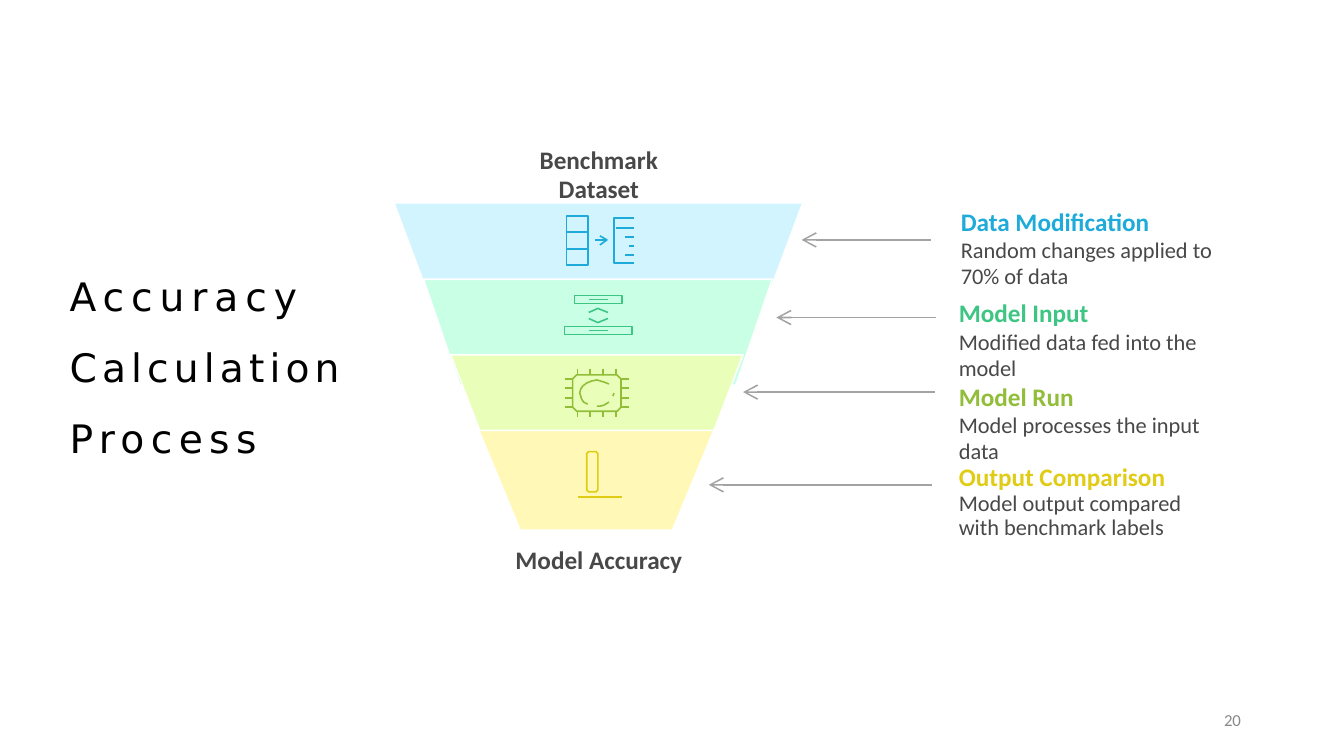
from lxml import etree
from pptx import Presentation
from pptx.dml.color import RGBColor
from pptx.enum.shapes import MSO_CONNECTOR
from pptx.enum.text import PP_ALIGN
from pptx.oxml.ns import qn
from pptx.util import Pt

LEFT, MID = PP_ALIGN.LEFT, PP_ALIGN.CENTER
LINE = MSO_CONNECTOR.STRAIGHT
CELL = 9144
COLS, ROWS = 1333, 750
WIDTH = 1.12
DARK, GREY, WHITE = "484848", "A3A3A3", "FFFFFF"
BLUE, GREEN, LIME, GOLD = "1EABDA", "3CC583", "92BD39", "E0CB15"

LAYERS = [
    ("D1F4FF", None, [(392, 202), (795, 202), (761, 293), (426, 293)]),
    ("C8FFE5", WHITE, [(420, 277), (766, 277), (730, 382), (456, 382)]),
    ("E9FFB9", WHITE, [(447, 352), (737, 352), (699, 451), (485, 451)]),
    ("FFF8B6", WHITE, [(475, 427), (708, 427), (667, 526), (516, 526)]),
]

ARROWS = [(923, 795, 238), (928, 770, 315), (927, 737, 389), (924, 703, 481)]

STAGES = [
    (953, 208, 19, BLUE, "Data Modification", "Random changes applied to 70% of data"),
    (951, 299, 19, GREEN, "Model Input", "Modified data fed into the model"),
    (951, 383, 18.5, LIME, "Model Run", "Model processes the input data"),
    (951, 463, 17.5, GOLD, "Output Comparison", "Model output compared with benchmark labels"),
]


def paint(code):
    """Turn a hex string into a colour."""
    return RGBColor.from_string(code)


def cells(*sizes):
    """Turn grid cells into slide lengths."""
    return [size * CELL for size in sizes]


def frame(slide, x, y, w, h):
    """Add a wrapping text frame without margins."""
    text = slide.shapes.add_textbox(*cells(x, y, w, h)).text_frame
    text.word_wrap = True
    text.margin_left = text.margin_right = 0
    text.margin_top = text.margin_bottom = 0
    return text


def style(para, size, hue, pitch, bold=False, face="Calibri", align=LEFT):
    """Set the font, line pitch and alignment of a paragraph."""
    font = para.font
    font.name, font.size, font.bold = face, Pt(size), bold
    font.color.rgb = paint(hue)
    para.line_spacing = Pt(pitch)
    para.alignment = align


def label(slide, area, words, size, hue, pitch, bold=False, align=LEFT):
    """Add a one-paragraph label."""
    para = frame(slide, *area).paragraphs[0]
    para.text = words
    style(para, size, hue, pitch, bold, align=align)


def title(slide):
    """Add the widely spaced slide title."""
    para = frame(slide, 69, 246, 290, 212).paragraphs[0]
    for words, gap in [("Accuracy ", 500), ("Calculation ", 370), ("Process", 460)]:
        run = para.add_run()
        run.text = words
        run.font._element.set("spc", str(gap))
    style(para, 28, "000000", 50.7, face="DejaVu Sans")


def stage(slide, x, y, pitch, hue, head, body):
    """Add a coloured heading with its description."""
    text = frame(slide, x, y, 254, 80)
    top, low = text.paragraphs[0], text.add_paragraph()
    top.text, low.text = head, body
    style(top, 18, hue, pitch, True)
    style(low, 16, DARK, pitch)


def outline(slide, paths, fill=None, line=None, close=False):
    """Draw one freeform from lists of grid points."""
    pen = slide.shapes.build_freeform(*paths[0][0], scale=CELL)
    for index, path in enumerate(paths):
        if index:
            pen.move_to(*path[0])
        pen.add_line_segments(path[1:], close=close)
    shape = pen.convert_to_shape()
    shape.shadow.inherit = False
    if fill:
        shape.fill.solid()
        shape.fill.fore_color.rgb = paint(fill)
    else:
        shape.fill.background()
    if line:
        shape.line.color.rgb = paint(line)
        shape.line.width = Pt(WIDTH)
    else:
        shape.line.fill.background()


def arrow(slide, start, end, y):
    """Draw a level arrow with an open head."""
    link = slide.shapes.add_connector(LINE, *cells(start, y, end, y))
    link.line.color.rgb = paint(GREY)
    link.line.width = Pt(WIDTH)
    tip = etree.SubElement(link.line._get_or_add_ln(), qn("a:tailEnd"))
    for key, value in [("type", "arrow"), ("w", "lg"), ("len", "lg")]:
        tip.set(key, value)
    etree.SubElement(link._element.spPr, qn("a:effectLst"))


def box(x, y, right, low, cut=0):
    """List the points of a rectangle with cut corners."""
    if not cut:
        return [(x, y), (right, y), (right, low), (x, low), (x, y)]
    return [(x + cut, y), (right - cut, y), (right, y + cut), (right, low - cut),
            (right - cut, low), (x + cut, low), (x, low - cut), (x, y + cut), (x + cut, y)]


def flat(x, right, *rows):
    """List level strokes, one for each row."""
    return [[(x, y), (right, y)] for y in rows]


def table():
    """List the strokes of the data icon."""
    return [box(562, 214, 583, 263), *flat(562, 583, 230, 247), *flat(590, 602, 238),
            [(595, 234), (602, 238), (595, 243)],
            [(629, 261), (609, 261), (609, 216), (629, 216)],
            *flat(611, 629, 226), *flat(624, 629, 244), *flat(620, 629, 235, 253)]


def feed():
    """List the strokes of the input icon."""
    return [box(560, 324, 627, 332), box(570, 293, 617, 301), *flat(584, 603, 297, 328),
            [(603, 316), (593, 320), (584, 316)], [(584, 310), (593, 306), (603, 310)]]


def chip():
    """List the strokes of the processor icon."""
    pins = [[(x, y), (x, y + 6)] for x in (573, 585, 598, 611) for y in (366, 408)]
    sides = [flat(x, x + 8, 376, 385, 395, 404) for x in (560, 616)]
    arc = [(604, 381), (599, 379), (592, 377), (587, 378), (582, 380), (578, 383),
           (576, 386), (575, 390), (576, 393), (577, 396), (579, 399), (583, 401)]
    return [box(568, 372, 616, 408, 4), arc, [(608, 393), (609, 390)],
            [(592, 403), (595, 403), (599, 402), (604, 399)], *pins, *sides[0], *sides[1]]


def chart():
    """List the strokes of the output icon."""
    return [box(582, 448, 593, 488, 2), *flat(573, 617, 493)]


def main():
    """Build and save the slide."""
    deck = Presentation()
    deck.slide_width, deck.slide_height = cells(COLS, ROWS)
    slide = deck.slides.add_slide(deck.slide_layouts[6])
    title(slide)
    for fill, line, path in LAYERS:
        outline(slide, [path], fill, line, True)
    for item in ARROWS:
        arrow(slide, *item)
    for icon, hue in [(table, BLUE), (feed, GREEN), (chip, LIME), (chart, GOLD)]:
        outline(slide, icon(), line=hue)
    for item in STAGES:
        stage(slide, *item)
    label(slide, (534, 144, 120, 58), "Benchmark Dataset", 18, DARK, 20.9, True, MID)
    label(slide, (504, 541, 180, 30), "Model Accuracy", 18, DARK, 21, True, MID)
    label(slide, (1214, 704, 30, 22), "20", 12, "898989", 14.5)
    deck.save("out.pptx")


if __name__ == "__main__":
    main()
